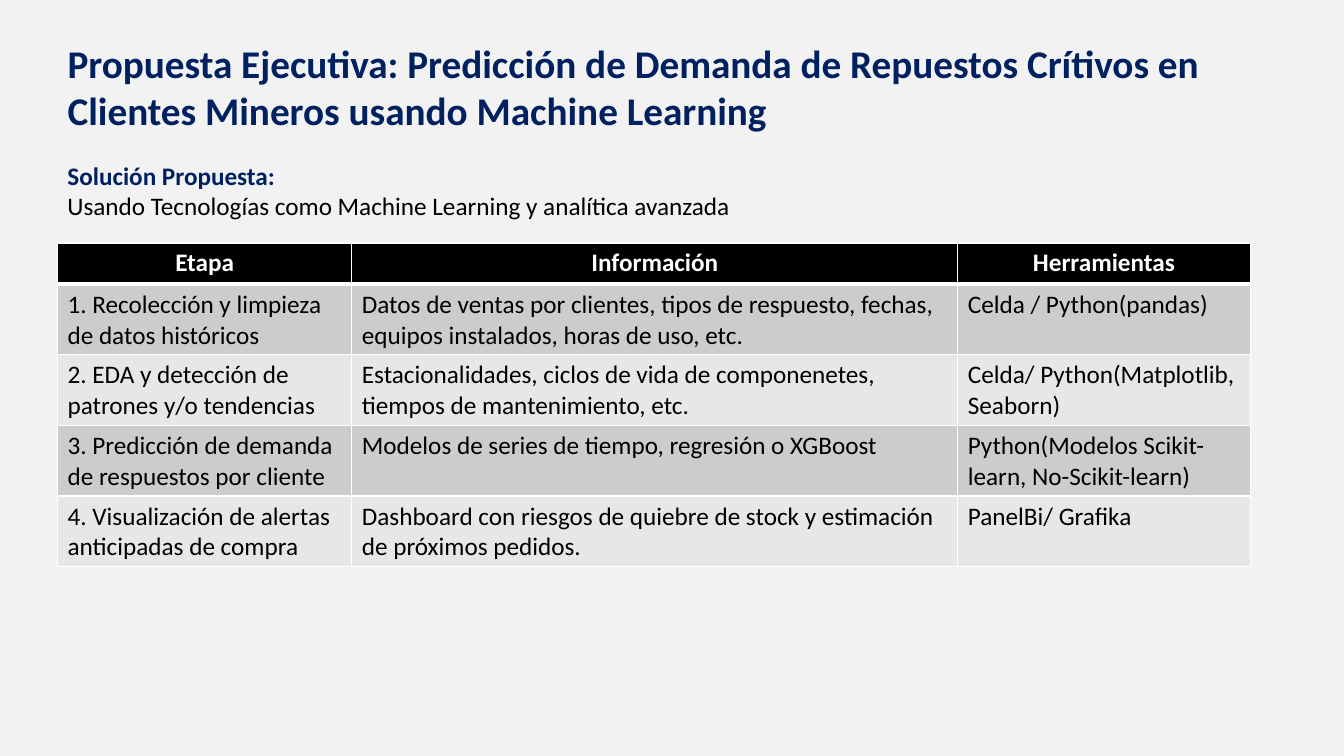
"""Builds the executive proposal slide on forecasting spare part demand."""
from dataclasses import dataclass

from lxml import etree
from pptx import Presentation
from pptx.dml.color import RGBColor
from pptx.enum.text import MSO_ANCHOR, MSO_AUTO_SIZE, PP_ALIGN
from pptx.oxml.ns import qn
from pptx.util import Inches, Pt

LEFT, CENTER = PP_ALIGN.LEFT, PP_ALIGN.CENTER
TOP = MSO_ANCHOR.TOP
FIT_SHAPE = MSO_AUTO_SIZE.SHAPE_TO_FIT_TEXT
WIDTH, HEIGHT = Inches(13.33), Inches(7.5)
TITLE_ONLY = 5
FONT = "Calibri"
COLORS = {
    "page": "F2F2F2",
    "navy": "002060",
    "black": "000000",
    "white": "FFFFFF",
    "odd": "CCCCCC",
    "even": "E7E7E7",
}


@dataclass(frozen=True)
class Span:
    text: str
    color: str = "black"
    size: float = 18
    bold: bool = False


@dataclass(frozen=True)
class Area:
    """Place on the slide, in percent of its width and height."""
    left: float
    top: float
    width: float
    height: float

    def bounds(self) -> tuple[int, int, int, int]:
        return (across(self.left), down(self.top),
                across(self.width), down(self.height))


@dataclass(frozen=True)
class Stage:
    name: str
    information: str
    tools: str

    def texts(self) -> tuple[str, str, str]:
        return self.name, self.information, self.tools


MARGIN = 4.28
TITLE_AREA = Area(MARGIN, 4.53, 89.27, 13.87)
INTRO_AREA = Area(MARGIN, 20.53, 51.39, 9.47)
COLUMN_SHARES = (21.9, 45.09, 21.76)
HEADER_SHARE, STAGE_SHARE = 5.47, 9.33

TITLE = Span(
    "Propuesta Ejecutiva: Predicción de Demanda de Repuestos Crítivos en "
    "Clientes Mineros usando Machine Learning", "navy", 28, True)
INTRO = (
    Span("Solución Propuesta:", "navy", bold=True),
    Span("Usando Tecnologías como Machine Learning y analítica avanzada"),
)
HEADER = Stage("Etapa", "Información", "Herramientas")
STAGES = (
    Stage("1. Recolección y limpieza de datos históricos",
          "Datos de ventas por clientes, tipos de respuesto, fechas, "
          "equipos instalados, horas de uso, etc.",
          "Celda / Python(pandas)"),
    Stage("2. EDA y detección de patrones y/o tendencias",
          "Estacionalidades, ciclos de vida de componenetes, "
          "tiempos de mantenimiento, etc.",
          "Celda/ Python(Matplotlib, Seaborn)"),
    Stage("3. Predicción de demanda de respuestos por cliente",
          "Modelos de series de tiempo, regresión o XGBoost",
          "Python(Modelos Scikit-learn, No-Scikit-learn)"),
    Stage("4. Visualización de alertas anticipadas de compra",
          "Dashboard con riesgos de quiebre de stock y estimación "
          "de próximos pedidos.",
          "PanelBi/ Grafika"),
)


def across(percent: float) -> int:
    return round(WIDTH * percent / 100)


def down(percent: float) -> int:
    return round(HEIGHT * percent / 100)


def rgb(name: str) -> RGBColor:
    return RGBColor.from_string(COLORS[name])


def write(frame, spans: tuple[Span, ...], align=LEFT) -> None:
    for index, span in enumerate(spans):
        para = frame.add_paragraph() if index else frame.paragraphs[0]
        para.alignment = align
        run = para.add_run()
        run.text = span.text
        run.font.name = FONT
        run.font.size = Pt(span.size)
        run.font.bold = span.bold
        run.font.color.rgb = rgb(span.color)


def add_borders(cell, top: float, bottom: float) -> None:
    properties = cell._tc.get_or_add_tcPr()
    widths = {"a:lnL": 1, "a:lnR": 1, "a:lnT": top, "a:lnB": bottom}
    for index, (side, points) in enumerate(widths.items()):
        line = etree.Element(qn(side), w=str(Pt(points)))
        fill = etree.SubElement(line, qn("a:solidFill"))
        etree.SubElement(fill, qn("a:srgbClr"), val=COLORS["white"])
        properties.insert(index, line)


def add_title(page) -> None:
    title = page.shapes.title
    title.left, title.top, title.width, title.height = TITLE_AREA.bounds()
    frame = title.text_frame
    frame.word_wrap = True
    frame.auto_size = FIT_SHAPE
    frame.vertical_anchor = TOP
    write(frame, (TITLE,))


def add_intro(page) -> None:
    box = page.shapes.add_textbox(*INTRO_AREA.bounds())
    box.text_frame.word_wrap = False
    box.text_frame.auto_size = FIT_SHAPE
    write(box.text_frame, INTRO)


def add_stage_table(page) -> None:
    rows = (HEADER, *STAGES)
    area = Area(MARGIN, 32.13, sum(COLUMN_SHARES),
                HEADER_SHARE + STAGE_SHARE * len(STAGES))
    table = page.shapes.add_table(
        len(rows), len(COLUMN_SHARES), *area.bounds()).table
    for column, share in zip(table.columns, COLUMN_SHARES):
        column.width = across(share)
    for index, stage in enumerate(rows):
        is_header = index == 0
        table.rows[index].height = down(
            HEADER_SHARE if is_header else STAGE_SHARE)
        fill = "black" if is_header else "odd" if index % 2 else "even"
        color = "white" if is_header else "black"
        for cell, text in zip(table.rows[index].cells, stage.texts()):
            cell.fill.solid()
            cell.fill.fore_color.rgb = rgb(fill)
            add_borders(cell, 3 if index == 1 else 1, 3 if is_header else 1)
            write(cell.text_frame, (Span(text, color, bold=is_header),),
                  CENTER if is_header else LEFT)


def main() -> None:
    deck = Presentation()
    deck.slide_width, deck.slide_height = WIDTH, HEIGHT
    page = deck.slides.add_slide(deck.slide_layouts[TITLE_ONLY])
    page.background.fill.solid()
    page.background.fill.fore_color.rgb = rgb("page")
    add_title(page)
    add_intro(page)
    add_stage_table(page)
    deck.save("out.pptx")


if __name__ == "__main__":
    main()
